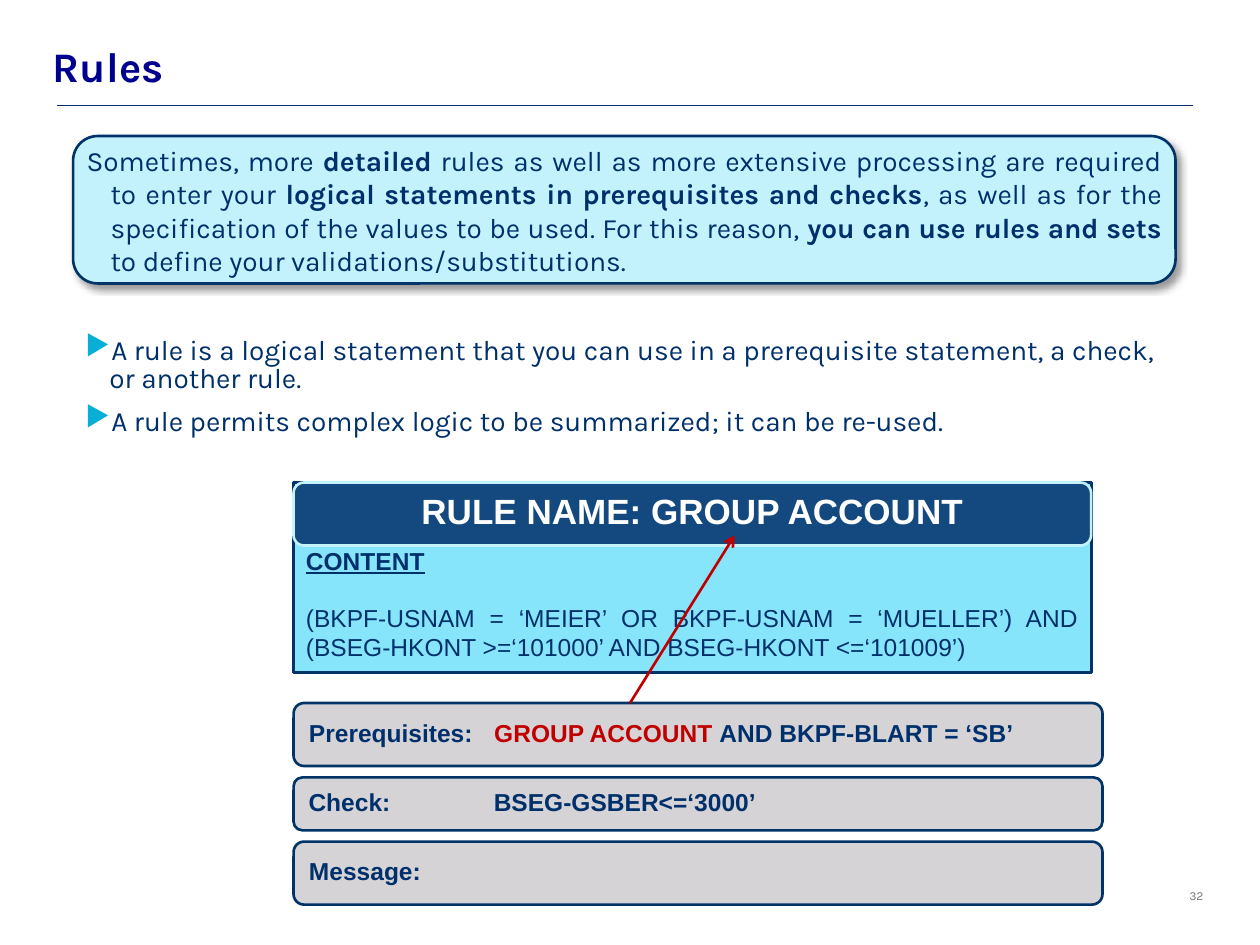
from dataclasses import dataclass

from lxml import etree
from pptx import Presentation
from pptx.dml.color import RGBColor
from pptx.enum import shapes, text
from pptx.oxml.ns import qn
from pptx.util import Inches, Pt


@dataclass(frozen=True)
class Theme:
    navy: str = "00306B"
    edge: str = "003366"
    title: str = "00008E"
    pale: str = "C3F2FD"
    cyan: str = "87E5FB"
    bullet: str = "07AFD7"
    grey: str = "D6D3D6"
    red: str = "C00000"
    white: str = "FFFFFF"
    muted: str = "777777"
    body_font: str = "Karla"
    diagram_font: str = "Arial"
    title_size: int = 24
    header_size: int = 20
    body_size: int = 16
    diagram_size: int = 14
    number_size: int = 7


T = Theme()
LEFT, CENTER, JUSTIFY = text.PP_ALIGN.LEFT, text.PP_ALIGN.CENTER, text.PP_ALIGN.JUSTIFY
TOP, MIDDLE = text.MSO_ANCHOR.TOP, text.MSO_ANCHOR.MIDDLE


def rgb(value):
    return RGBColor.from_string(value)


def add(parent, tag, **attrs):
    return etree.SubElement(parent, qn(tag), {k: str(v) for k, v in attrs.items()})


def frame(sp, anchor=TOP, insets=(0.1, 0.05, 0.1, 0.05)):
    tf = sp.text_frame
    tf.word_wrap = True
    tf.vertical_anchor = anchor
    tf.margin_left, tf.margin_top, tf.margin_right, tf.margin_bottom = map(Inches, insets)
    return tf


def text_box(s, box, **kwargs):
    return frame(s.shapes.add_textbox(*map(Inches, box)), **kwargs)


def panel(s, box, fill, line, width=1.5, rounded=True):
    kind = shapes.MSO_SHAPE.ROUNDED_RECTANGLE if rounded else shapes.MSO_SHAPE.RECTANGLE
    sp = s.shapes.add_shape(kind, *map(Inches, box))
    sp.shadow.inherit = False
    sp.fill.solid()
    sp.fill.fore_color.rgb = rgb(fill)
    sp.line.color.rgb = rgb(line)
    sp.line.width = Pt(width)
    return sp


def connector(s, start, end, color, width):
    ln = s.shapes.add_connector(shapes.MSO_CONNECTOR.STRAIGHT, *map(Inches, start + end))
    ln.line.color.rgb = rgb(color)
    ln.line.width = Pt(width)
    add(ln._element.spPr, "a:effectLst")
    return ln


def paragraph(tf, first=False, align=LEFT, spacing=1.0, before=0):
    p = tf.paragraphs[0] if first else tf.add_paragraph()
    p.alignment = align
    p.line_spacing = spacing
    p.space_before = Pt(before)
    return p


def run(p, words, size, font, color=T.navy, bold=False, underline=False):
    r = p.add_run()
    r.text = words
    r.font.size = Pt(size)
    r.font.name = font
    r.font.color.rgb = rgb(color)
    r.font.bold = bold
    r.font.underline = underline


def hang(p, indent=0.19):
    pPr = p._p.get_or_add_pPr()
    pPr.set("marL", str(Inches(indent)))
    pPr.set("indent", str(-Inches(indent)))
    return pPr


def title_region(s, box, rule_y):
    tf = text_box(s, box, anchor=MIDDLE, insets=(0.2, 0.04, 0.12, 0.04))
    run(paragraph(tf, first=True, spacing=0.9), "Rules",
        T.title_size, T.body_font, T.title, bold=True)
    connector(s, (0.45, rule_y), (9.47, rule_y), T.navy, 0.75)


def callout(s, box):
    sp = panel(s, box, T.pale, T.edge)
    shadow = add(sp._element.spPr.find(qn("a:effectLst")), "a:outerShdw", blurRad=Pt(4),
                 dist=Pt(3), dir=45 * 60000, algn="tl", rotWithShape=0)
    add(add(shadow, "a:srgbClr", val="000000"), "a:alpha", val=40000)
    # The corner radius already adds about 0.05 in to each inset
    p = paragraph(frame(sp, insets=(0.05, 0, 0.05, 0)), first=True, align=JUSTIFY)
    hang(p)
    for words, bold in (
        ("Sometimes, more ", False),
        ("detailed", True),
        (" rules as well as more extensive processing are required to enter your ", False),
        ("logical statements in prerequisites and checks", True),
        (", as well as for the specification of the values to be used. "
         "For this reason, ", False),
        ("you can use rules and sets ", True),
        ("to define your validations/substitutions.", False),
    ):
        run(p, words, T.body_size, T.body_font, bold=bold)


def bullet_list(s, box, items):
    tf = text_box(s, box)
    for i, item in enumerate(items):
        p = paragraph(tf, first=i == 0, spacing=0.85, before=T.body_size / 2 if i else 0)
        pPr = hang(p)
        add(add(pPr, "a:buClr"), "a:srgbClr", val=T.bullet)
        add(pPr, "a:buChar", char="▶")
        run(p, item, T.body_size, T.body_font)


def rule_card(s, box, header_h=0.5):
    left, top, width, _ = box
    # Content sits below the header band
    tf = frame(panel(s, box, T.cyan, T.edge, 1.75, rounded=False),
               insets=(0.1, header_h, 0.1, 0.05))
    run(paragraph(tf, first=True), "CONTENT", T.diagram_size, T.diagram_font,
        bold=True, underline=True)
    run(paragraph(tf, align=JUSTIFY, before=16),
        "(BKPF-USNAM = ‘MEIER’ OR BKPF-USNAM = ‘MUELLER’) AND "
        "(BSEG-HKONT >=‘101000’ AND BSEG-HKONT <=‘101009’)",
        T.diagram_size, T.diagram_font)
    # Translucent header band
    header = panel(s, (left, top, width, header_h), T.navy, T.pale)
    add(header._element.spPr.find(qn("a:solidFill"))[0], "a:alpha", val=86000)
    run(paragraph(frame(header, anchor=MIDDLE), first=True, align=CENTER, spacing=0.85),
        "RULE NAME: GROUP ACCOUNT", T.header_size, T.diagram_font, T.white, bold=True)


def step_row(s, box, label, values):
    tf = frame(panel(s, box, T.grey, T.edge), anchor=MIDDLE)
    p = paragraph(tf, first=True, spacing=0.85)
    if values:
        tabs = add(p._p.get_or_add_pPr(), "a:tabLst")
        add(tabs, "a:tab", pos=Inches(1.47), algn="l")
        label += "\t"
    for words, color in [(label, T.navy), *values]:
        run(p, words, T.diagram_size, T.diagram_font, color, bold=True)


def step_rows(s, box, gap=0.09):
    left, top, width, _ = box
    for height, label, values in (
        (0.5, "Prerequisites:", [("GROUP ACCOUNT ", T.red),
                                 ("AND BKPF-BLART = ‘SB’", T.navy)]),
        (0.42, "Check:", [("BSEG-GSBER<=‘3000’", T.navy)]),
        (0.5, "Message:", []),
    ):
        step_row(s, (left, top, width, height), label, values)
        top += height + gap


def main():
    prs = Presentation()
    prs.slide_width, prs.slide_height = Inches(10), Inches(7.5)
    s = prs.slides.add_slide(prs.slide_layouts[6])

    title_region(s, (0.22, 0.25, 9.16, 0.6), rule_y=0.84)
    callout(s, (0.58, 1.08, 8.75, 1.17))
    bullet_list(s, (0.58, 2.63, 8.74, 1), (
        "A rule is a logical statement that you can use in a prerequisite statement, "
        "a check, or another rule.",
        "A rule permits complex logic to be summarized; it can be re-used.",
    ))
    rule_card(s, (2.33, 3.83, 6.33, 1.51))
    step_rows(s, (2.33, 5.58, 6.42, 1.59))

    # Arrow from the prerequisite to the rule it uses
    arrow = connector(s, (5, 5.58), (5.83, 4.25), T.red, 1.5)
    add(arrow.line._get_or_add_ln(), "a:tailEnd", type="arrow")

    # Slide number
    number = text_box(s, (9.34, 7, 0.52, 0.22))
    run(paragraph(number, first=True), "32", T.number_size, T.body_font, T.muted)

    prs.save("out.pptx")


if __name__ == "__main__":
    main()
